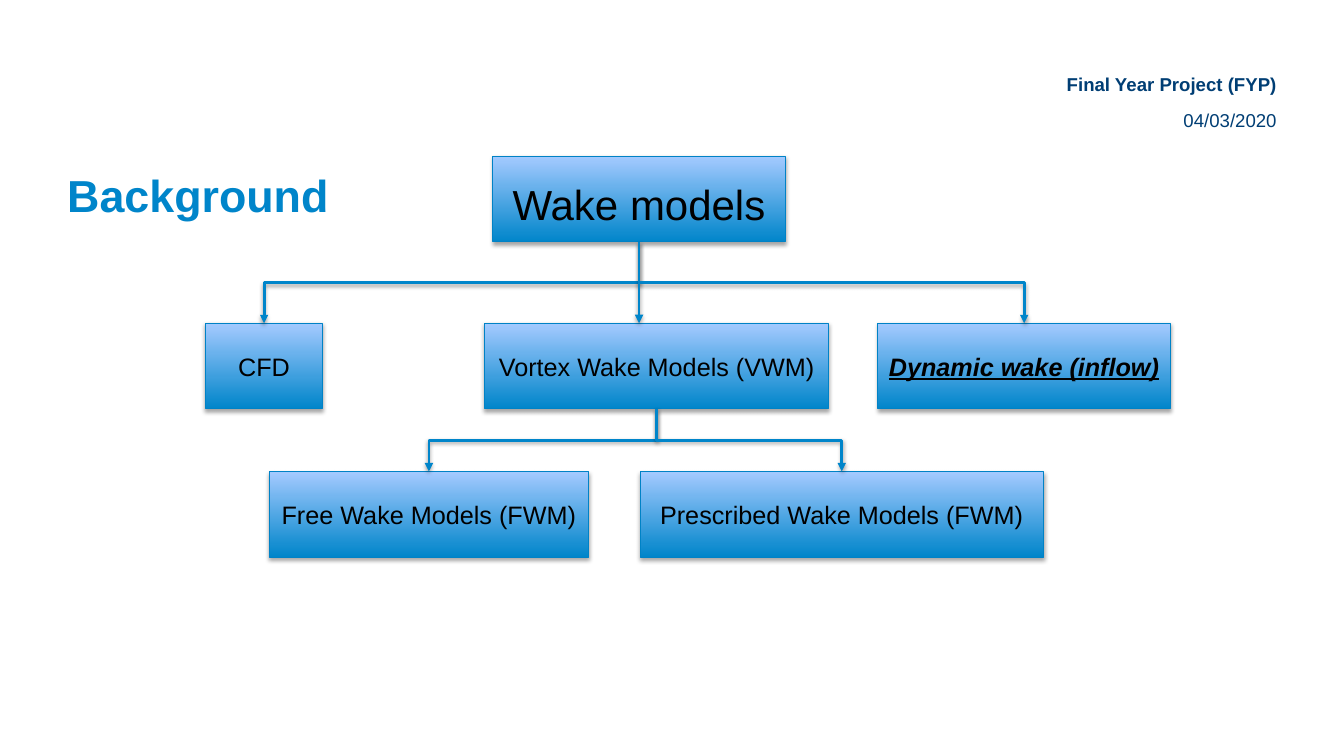
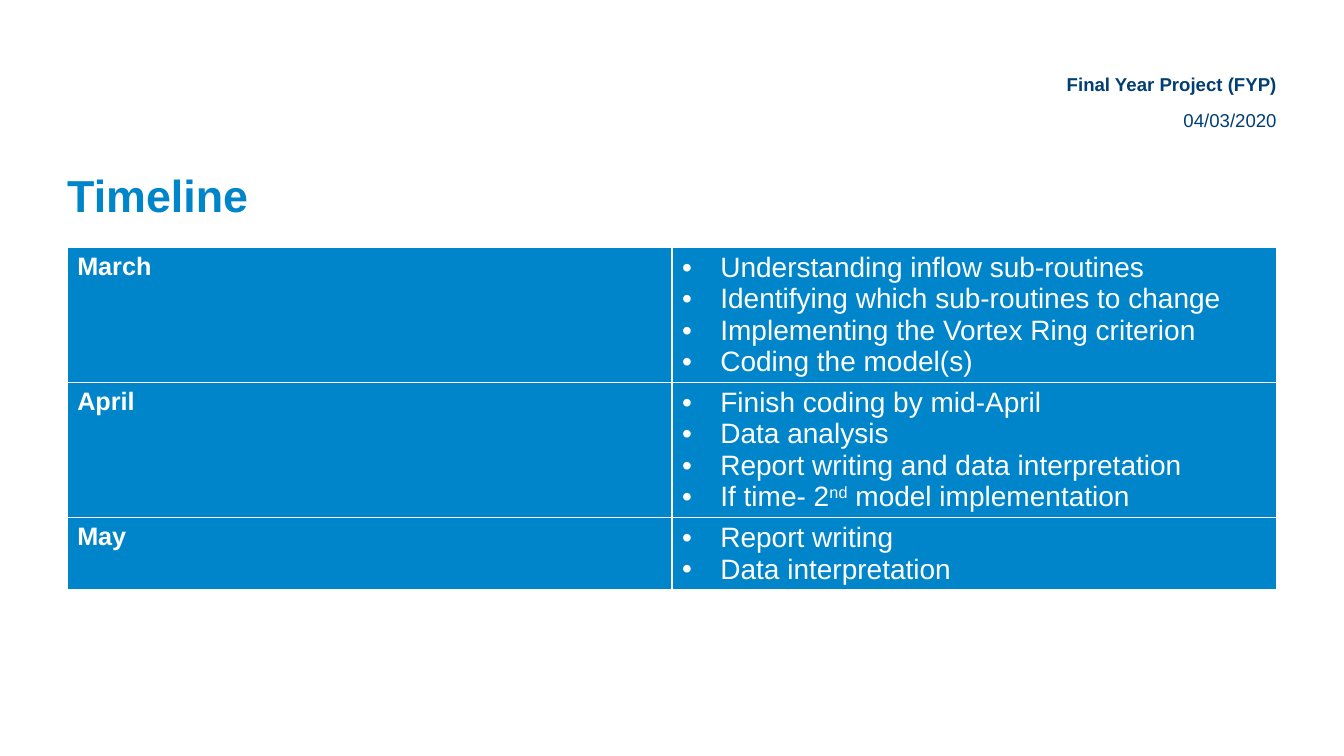
from lxml.etree import SubElement
from pptx import Presentation
from pptx.dml.color import RGBColor
from pptx.enum.shapes import MSO_CONNECTOR, MSO_SHAPE
from pptx.enum.text import MSO_ANCHOR, MSO_AUTO_SIZE, PP_ALIGN
from pptx.oxml.ns import qn
from pptx.util import Inches, Pt

COLORS = {
    "blue": "0085CA", "edge": "0082C6", "sky": "A4CAFF", "navy": "003E74",
    "black": "000000", "white": "FFFFFF",
}
COLUMNS, ROWS = 40, 22.5
WIDTH, HEIGHT = Inches(40 / 3), Inches(7.5)

FORMATS = {
    "title": {"size": Pt(32), "bold": True, "color": "blue"},
    "project": {"size": Pt(13.3), "bold": True, "color": "navy"},
    "date": {"size": Pt(13.3), "bold": False, "color": "navy"},
    "root": {"size": Pt(30), "color": "black"},
    "node": {"size": Pt(18), "color": "black"},
    "focus": {"size": Pt(18), "bold": True, "italic": True, "underline": True,
              "color": "black"},
    "month": {"size": Pt(18), "bold": True, "color": "white"},
    "task": {"size": Pt(20), "bold": False, "color": "white"},
}
FRAMES = {
    "title": {"vertical_anchor": MSO_ANCHOR.MIDDLE, "margin_top": Inches(0.05)},
    "header": {"vertical_anchor": MSO_ANCHOR.TOP, "margin_top": 0},
}
PLAIN_FRAME = {"word_wrap": True, "auto_size": MSO_AUTO_SIZE.NONE,
               "margin_left": 0, "margin_right": 0, "margin_bottom": 0}

TITLE_BOX = (2, 4.89, 36, 1.68)
PROJECT_BOX = (28.68, 2.16, 9.32, 1.02)
DATE_BOX = (31.68, 3.24, 6.32, 0.84)
TREE_BOX = (6.12, 4.65, 28.71, 11.94)
TABLE_BOX = (2, 7.36, 36, 10.17)

NODE_HEIGHT = 2.55
LEVELS = (0, 4.97, 9.38)
NODES = {
    "Wake models": (8.55, 0, 8.7, "root"),
    "CFD": (0, 1, 3.48, "node"),
    "Vortex Wake Models (VWM)": (8.31, 1, 10.23, "node"),
    "Dynamic wake (inflow)": (20.01, 1, 8.7, "focus"),
    "Free Wake Models (FWM)": (1.89, 2, 9.51, "node"),
    "Prescribed Wake Models (FWM)": (12.93, 2, 12, "node"),
}
BRANCHES = {
    "Wake models": ("CFD", "Dynamic wake (inflow)", "Vortex Wake Models (VWM)"),
    "Vortex Wake Models (VWM)": ("Free Wake Models (FWM)",
                                 "Prescribed Wake Models (FWM)"),
}
STRAIGHT = "Vortex Wake Models (VWM)"

SCHEDULE = (
    ("March", 4.02, ("Understanding inflow sub-routines",
                     "Identifying which sub-routines to change",
                     "Implementing the Vortex Ring criterion",
                     "Coding the model(s)")),
    ("April", 4.02, ("Finish coding by mid-April",
                     "Data analysis",
                     "Report writing and data interpretation",
                     "If time- 2^nd^ model implementation")),
    ("May", 2.13, ("Report writing", "Data interpretation")),
)


def color(name):
    """Return the named colour."""
    return RGBColor.from_string(COLORS[name])


def across(columns):
    """Turn grid columns into a length."""
    return round(WIDTH * columns / COLUMNS)


def down(rows):
    """Turn grid rows into a length."""
    return round(HEIGHT * rows / ROWS)


def place(box):
    """Turn a grid box into left, top, width and height."""
    left, top, width, height = box
    return across(left), down(top), across(width), down(height)


def apply(target, values):
    """Set every attribute in a dict of format values."""
    for name, value in values.items():
        setattr(target, name, value)


def write(para, text, style):
    """Add text to a paragraph, raising the parts between carets."""
    for index, part in enumerate(text.split("^")):
        span = para.add_run()
        span.text = part
        values = dict(FORMATS[style], name="Arial")
        span.font.color.rgb = color(values.pop("color"))
        apply(span.font, values)
        if index % 2:
            span.font._element.set("baseline", "30000")


def set_bullet(para, symbol=None):
    """Give a paragraph a hanging bullet, or take its bullet away."""
    properties = para._p.get_or_add_pPr()
    indent = Inches(0.38) if symbol else 0
    properties.set("marL", str(indent))
    properties.set("indent", str(-indent))
    if symbol:
        SubElement(properties, qn("a:buFont"), typeface="Arial")
        SubElement(properties, qn("a:buChar"), char=symbol)
    else:
        SubElement(properties, qn("a:buNone"))


def add_shadow(shape, opacity, distance):
    """Cast a soft shadow straight down."""
    effects = SubElement(shape.element.spPr, qn("a:effectLst"))
    shadow = SubElement(effects, qn("a:outerShdw"), blurRad=str(Pt(3.1)),
                        dist=str(Pt(distance)), dir="5400000", rotWithShape="0")
    tone = SubElement(shadow, qn("a:srgbClr"), val=COLORS["black"])
    SubElement(tone, qn("a:alpha"), val=str(opacity * 1000))


def fill_placeholder(holder, box, text, style, frame, align):
    """Move a placeholder to a box and write its one line."""
    apply(holder, dict(zip(("left", "top", "width", "height"), place(box))))
    apply(holder.text_frame, PLAIN_FRAME | FRAMES[frame])
    para = holder.text_frame.paragraphs[0]
    para.alignment = align
    set_bullet(para)
    write(para, text, style)


def add_page(deck, title):
    """Add a slide with its title and the project header."""
    page = deck.slides.add_slide(deck.slide_layouts.get_by_name("Two Content"))
    heading, project, date = page.placeholders
    fill_placeholder(heading, TITLE_BOX, title, "title", "title", PP_ALIGN.LEFT)
    fill_placeholder(project, PROJECT_BOX, "Final Year Project (FYP)",
                     "project", "header", PP_ALIGN.RIGHT)
    fill_placeholder(date, DATE_BOX, "04/03/2020", "date", "header", PP_ALIGN.RIGHT)
    return page


def add_node(page, box, text, style):
    """Add one gradient box of the tree."""
    node = page.shapes.add_shape(MSO_SHAPE.RECTANGLE, *place(box))
    node.fill.gradient()
    node.fill.gradient_angle = 90
    for stop, name in zip(node.fill.gradient_stops, ("blue", "sky")):
        stop.color.rgb = color(name)
    node.line.color.rgb = color("edge")
    node.line.width = Pt(0.75)
    add_shadow(node, 35, 1.8)
    frame = node.text_frame
    apply(frame, {"word_wrap": True, "vertical_anchor": MSO_ANCHOR.MIDDLE})
    if style == "root":
        frame.margin_top = Inches(0.15)
    frame.paragraphs[0].alignment = PP_ALIGN.CENTER
    write(frame.paragraphs[0], text, style)
    return node


def add_arrow(page, kind, start_x, start_y, end_x, end_y):
    """Add a blue arrow between two points."""
    arrow = page.shapes.add_connector(kind, start_x, start_y, end_x, end_y)
    arrow.line.color.rgb = color("blue")
    arrow.line.width = Pt(2)
    SubElement(arrow.line._get_or_add_ln(), qn("a:tailEnd"), type="triangle")
    add_shadow(arrow, 38, 1.6)
    return arrow


def add_branch(page, parent, child, straight):
    """Link a parent's bottom to a child's top."""
    start_x, start_y = parent.left + parent.width // 2, parent.top + parent.height
    end_x, end_y = child.left + child.width // 2, child.top
    middle_x, middle_y = (start_x + end_x) // 2, (start_y + end_y) // 2
    if straight:
        add_arrow(page, MSO_CONNECTOR.STRAIGHT, start_x, middle_y, start_x, end_y)
        return
    side = 1 if end_x < start_x else -1
    half_drop = side * (end_y - start_y) // 2
    half_run = abs(end_x - start_x) // 2
    arrow = add_arrow(page, MSO_CONNECTOR.ELBOW,
                      middle_x - half_drop, middle_y - half_run,
                      middle_x + half_drop, middle_y + half_run)
    turn = 90 if side == 1 else 270
    arrow.element.spPr.get_or_add_xfrm().set("rot", str(turn * 60000))


def add_tree(page, box):
    """Draw the tree of wake models inside a box."""
    left, top = box[:2]
    nodes = {
        text: add_node(page, (left + offset, top + LEVELS[level], width, NODE_HEIGHT),
                       text, style)
        for text, (offset, level, width, style) in NODES.items()
    }
    for parent, children in BRANCHES.items():
        for child in children:
            add_branch(page, nodes[parent], nodes[child], child == STRAIGHT)


def add_schedule(page, box):
    """Draw the table of months and tasks inside a box."""
    table = page.shapes.add_table(len(SCHEDULE), 2, *place(box)).table
    table.horz_banding = False
    for row, (month, height, tasks) in zip(table.rows, SCHEDULE):
        row.height = down(height)
        for cell in row.cells:
            cell.fill.solid()
            cell.fill.fore_color.rgb = color("blue")
        month_cell, task_cell = row.cells
        write(month_cell.text_frame.paragraphs[0], month, "month")
        frame = task_cell.text_frame
        for index, task in enumerate(tasks):
            para = frame.add_paragraph() if index else frame.paragraphs[0]
            set_bullet(para, "•")
            write(para, task, "task")


def main():
    """Build and save the deck."""
    deck = Presentation()
    apply(deck, {"slide_width": WIDTH, "slide_height": HEIGHT})
    add_tree(add_page(deck, "Background"), TREE_BOX)
    add_schedule(add_page(deck, "Timeline"), TABLE_BOX)
    deck.save("out.pptx")


if __name__ == "__main__":
    main()
